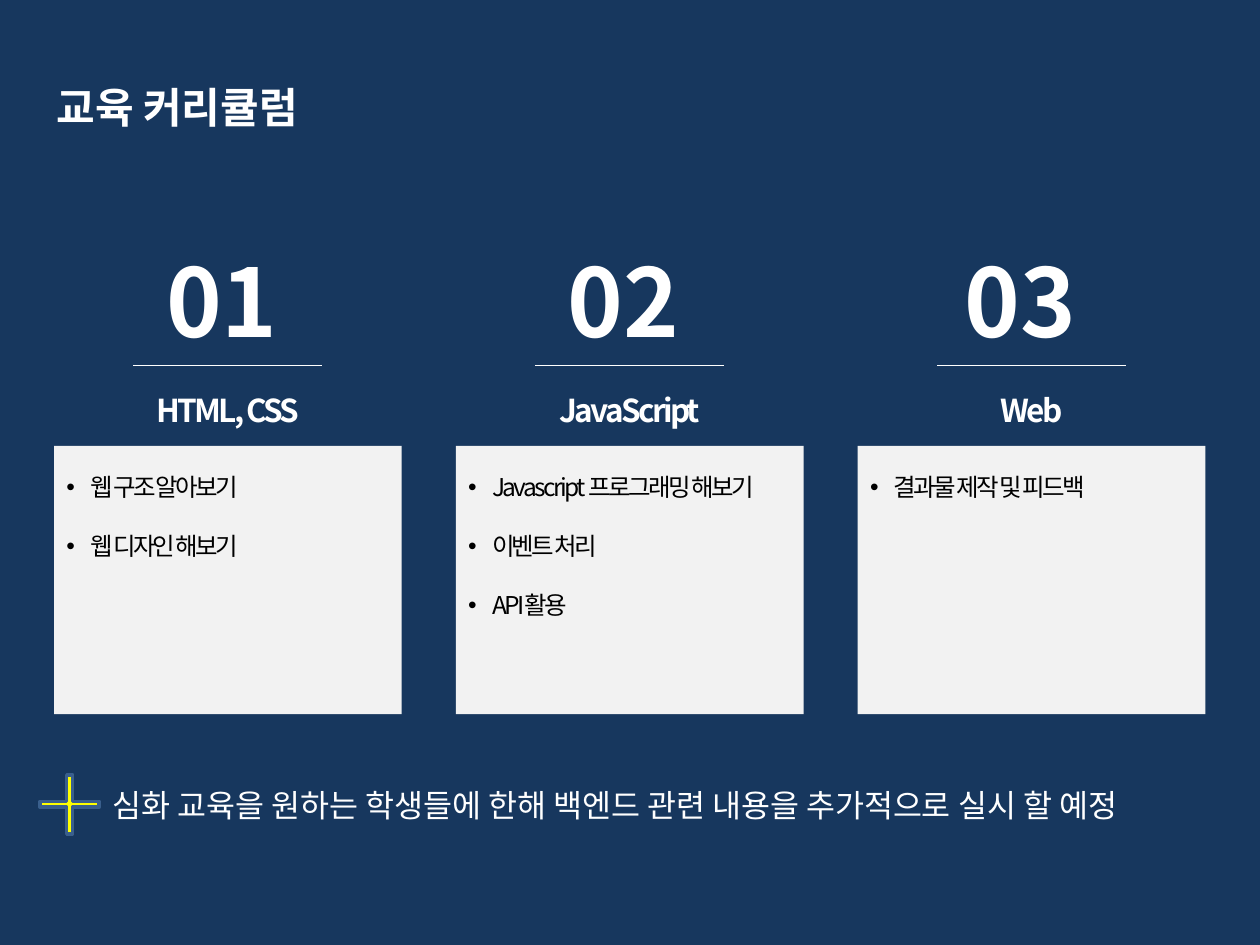
"""Build the curriculum slide with three course columns."""
from lxml import etree
from pptx import Presentation
from pptx.dml.color import RGBColor
from pptx.enum.shapes import MSO_CONNECTOR, MSO_SHAPE
from pptx.enum.text import PP_ALIGN
from pptx.oxml.ns import qn
from pptx.util import Cm, Pt

RECT = MSO_SHAPE.RECTANGLE
CROSS = MSO_SHAPE.CROSS
STRAIGHT = MSO_CONNECTOR.STRAIGHT
LEFT, CENTER = PP_ALIGN.LEFT, PP_ALIGN.CENTER
FONT = "Noto Sans CJK KR"
COLORS = {
    "navy": "17375E",
    "white": "FFFFFF",
    "card": "F2F2F2",
    "black": "000000",
    "yellow": "FFFF00",
    "edge": "3A5F8C",
}
COURSES = [
    ("01", 0.41, "HTML, CSS", ["웹 구조 알아보기", "웹 디자인 해보기"]),
    ("02", 0.41, "JavaScript",
     ["Javascript 프로그래밍 해보기", "이벤트 처리", "API활용"]),
    ("03", 0.3, "Web", ["결과물 제작 및 피드백"]),
]
START, STEP, WIDTH, RULE = 1.09, 8.1, 7.01, 3.81


def color(name):
    return RGBColor.from_string(COLORS[name])


def style(run, size, tint, bold, tight):
    font = run.font
    font.size = Pt(size)
    font.bold = bold
    font.name = FONT
    font.color.rgb = color(tint)
    props = run._r.get_or_add_rPr()
    etree.SubElement(props, qn("a:ea")).set("typeface", FONT)
    if tight:
        props.set("spc", "-150")


def add_text(slide, box, text, size, tint="white", bold=False,
             tight=False, align=LEFT):
    frame = slide.shapes.add_textbox(*map(Cm, box)).text_frame
    frame.word_wrap = True
    frame.text = text
    for para in frame.paragraphs:
        para.alignment = align
        for run in para.runs:
            style(run, size, tint, bold, tight)
    return frame


def add_list(slide, box, items):
    frame = add_text(slide, box, "\n".join(items), 14, "black", tight=True)
    for para in frame.paragraphs:
        para.space_after = Pt(16.8)
        props = para._p.get_or_add_pPr()
        props.set("marL", str(Cm(0.48)))
        props.set("indent", str(Cm(-0.48)))
        face = etree.SubElement(props, qn("a:buFont"))
        face.set("typeface", "Arial")
        etree.SubElement(props, qn("a:buChar")).set("char", "•")


def add_shape(slide, kind, box, fill, edge=None):
    shape = slide.shapes.add_shape(kind, *map(Cm, box))
    shape.shadow.inherit = False
    shape.fill.solid()
    shape.fill.fore_color.rgb = color(fill)
    if edge:
        shape.line.color.rgb = color(edge)
        shape.line.width = Pt(2)
    else:
        shape.line.fill.background()
    return shape


def add_rule(slide, left, top, width):
    rule = slide.shapes.add_connector(
        STRAIGHT, Cm(left), Cm(top), Cm(left + width), Cm(top))
    rule.line.color.rgb = color("white")
    rule.line.width = Pt(0.75)
    etree.SubElement(rule._element.spPr, qn("a:effectLst"))


def add_course(slide, left, number, shift, title, items):
    inner = left + (WIDTH - RULE) / 2
    add_text(slide, (inner + shift, 4.77, 3, 2.57), number, 54, bold=True)
    add_rule(slide, inner, 7.37, RULE)
    add_text(slide, (inner, 7.75, RULE, 1.02), title, 18,
             bold=True, tight=True, align=CENTER)
    add_shape(slide, RECT, (left, 8.99, WIDTH, 5.41), "card")
    height = 0.86 + 1.19 * (len(items) - 1)
    add_list(slide, (left, 9.4, WIDTH, height), items)


def main():
    deck = Presentation()
    deck.slide_width, deck.slide_height = Cm(25.4), Cm(19.05)
    slide = deck.slides.add_slide(deck.slide_layouts[6])
    slide.background.fill.solid()
    slide.background.fill.fore_color.rgb = color("navy")
    add_text(slide, (0.89, 1.52, 11.61, 1.27), "교육 커리큘럼", 24, bold=True)
    for index, course in enumerate(COURSES):
        add_course(slide, START + index * STEP, *course)
    plus = add_shape(slide, CROSS, (0.81, 15.62, 1.19, 1.19), "yellow", "edge")
    plus.adjustments[0] = 0.45
    add_text(slide, (2.01, 15.72, 23.39, 1.02),
             "심화 교육을 원하는 학생들에 한해 백엔드 관련 내용을 "
             "추가적으로 실시 할 예정", 18)
    deck.save("out.pptx")


main()
